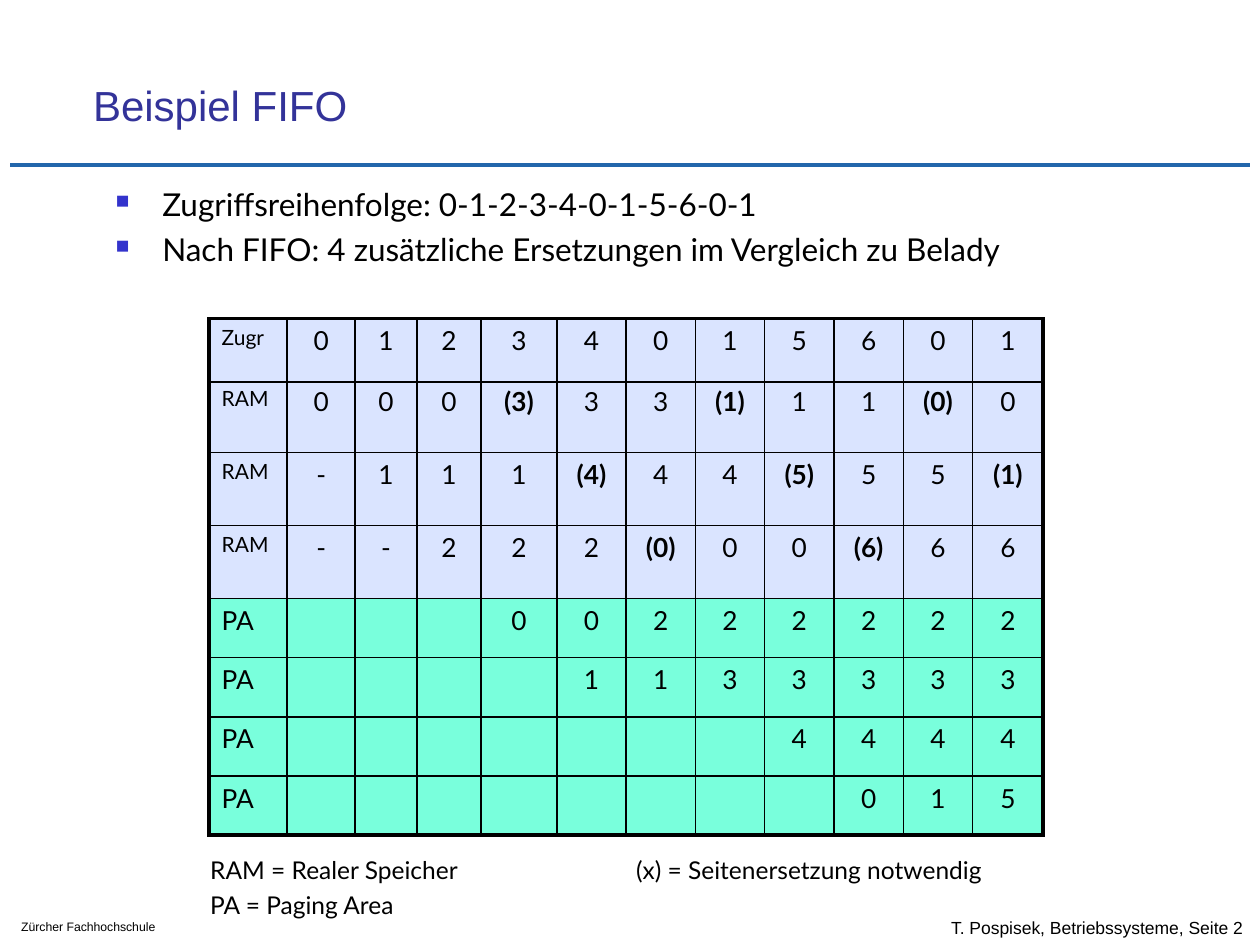
"""Build a slide showing FIFO page replacement step by step."""
from dataclasses import dataclass

from lxml.etree import SubElement
from pptx import Presentation
from pptx.dml.color import RGBColor
from pptx.enum.shapes import MSO_CONNECTOR
from pptx.enum.text import MSO_ANCHOR, PP_ALIGN
from pptx.oxml import parse_xml
from pptx.oxml.ns import nsdecls, qn
from pptx.util import Inches, Pt


@dataclass(frozen=True)
class Theme:
    ink: str = "000000"
    heading: str = "333399"
    rule: str = "2266AB"
    bullet: str = "3333CC"
    ram: str = "DAE4FF"
    paging: str = "79FFDC"
    sans: str = "Arial"
    body: str = "Lato"
    title_size: float = 24
    body_size: float = 18
    cell_size: float = 15
    legend_size: float = 14
    label_size: float = 12
    author_size: float = 10
    school_size: float = 7
    thin: float = 0.96
    thick: float = 2.21


def write(paragraph, text, *, size, font, color, bold=False, align=PP_ALIGN.LEFT, before=0):
    paragraph.alignment = align
    paragraph.space_before = Pt(before)
    run = paragraph.add_run()
    run.text = text
    run.font.size = Pt(size)
    run.font.name = font
    run.font.bold = bold
    run.font.color.rgb = RGBColor.from_string(color)


class SlideBuilder:
    def __init__(self, slide, theme):
        self.slide = slide
        self.theme = theme

    def rule(self, left, right, y):
        line = self.slide.shapes.add_connector(
            MSO_CONNECTOR.STRAIGHT, Inches(left), Inches(y), Inches(right), Inches(y))
        line.line.color.rgb = RGBColor.from_string(self.theme.rule)
        line.line.width = Pt(2.5)
        SubElement(line._element.spPr, qn("a:effectLst"))

    def text(self, box, lines, *, anchor=MSO_ANCHOR.TOP, gap=0, bullets=False, tab=None, **style):
        frame = self.slide.shapes.add_textbox(*map(Inches, box)).text_frame
        frame.word_wrap = True
        frame.vertical_anchor = anchor
        for index, line in enumerate(lines):
            paragraph = frame.add_paragraph() if index else frame.paragraphs[0]
            if bullets:
                self.bullet(paragraph)
            if tab:
                stops = SubElement(paragraph._p.get_or_add_pPr(), qn("a:tabLst"))
                SubElement(stops, qn("a:tab"), pos=str(Inches(tab)), algn="l")
            write(paragraph, line, before=gap if index else 0,
                  **{"color": self.theme.ink, **style})

    def bullet(self, paragraph):
        properties = paragraph._p.get_or_add_pPr()
        properties.set("marL", str(Inches(0.38)))
        properties.set("indent", str(Inches(-0.37)))
        color = SubElement(properties, qn("a:buClr"))
        SubElement(color, qn("a:srgbClr"), val=self.theme.bullet)
        SubElement(properties, qn("a:buSzPct"), val="60000")
        SubElement(properties, qn("a:buChar"), char="■")

    def table(self, left, top, widths, heights, rows, closed=True):
        grid = self.slide.shapes.add_table(
            len(rows), len(widths), Inches(left), Inches(top),
            Inches(sum(widths)), Inches(sum(heights))).table
        grid.first_row = grid.horz_banding = False
        for column, width in zip(grid.columns, widths):
            column.width = Inches(width)
        for row, height in zip(grid.rows, heights):
            row.height = Inches(height)
        for r, (label, values) in enumerate(rows):
            for c, value in enumerate([label, *values]):
                outer = {"L": c == 0, "R": c == len(widths) - 1,
                         "T": r == 0, "B": closed and r == len(rows) - 1}
                self.cell(grid.cell(r, c), value, label, c == 0, outer)

    def cell(self, cell, value, label, is_label, outer):
        theme = self.theme
        paging = label == "PA"
        cell.fill.solid()
        cell.fill.fore_color.rgb = RGBColor.from_string(theme.paging if paging else theme.ram)
        for index, (side, is_outer) in enumerate(outer.items()):
            width = Pt(theme.thick if is_outer else theme.thin)
            cell._tc.get_or_add_tcPr().insert(index, parse_xml(
                f'<a:ln{side} {nsdecls("a")} w="{width}"><a:solidFill>'
                f'<a:srgbClr val="{theme.ink}"/></a:solidFill></a:ln{side}>'))
        if value:
            write(cell.text_frame.paragraphs[0], value, font=theme.body, color=theme.ink,
                  size=theme.label_size if is_label and not paging else theme.cell_size,
                  bold=value.startswith("("),
                  align=PP_ALIGN.LEFT if is_label else PP_ALIGN.CENTER)


def main():
    theme = Theme()
    deck = Presentation()
    deck.slide_width, deck.slide_height = Inches(10), Inches(7.5)
    page = SlideBuilder(deck.slides.add_slide(deck.slide_layouts[6]), theme)

    page.rule(0.08, 9.92, 1.31)
    page.text((7.45, 7.2, 2.55, 0.33), ["T. Pospisek, Betriebssysteme, Seite 2"],
              anchor=MSO_ANCHOR.MIDDLE, size=theme.author_size, font=theme.sans)
    page.text((0.07, 7.25, 1.72, 0.22), ["Zürcher Fachhochschule"],
              size=theme.school_size, font=theme.sans)
    page.text((0.64, 0.33, 8.52, 0.75), ["Beispiel FIFO"], anchor=MSO_ANCHOR.BOTTOM,
              size=theme.title_size, font=theme.sans, color=theme.heading)
    page.text((0.81, 1.42, 8.36, 0.92),
              ["Zugriffsreihenfolge: 0-1-2-3-4-0-1-5-6-0-1",
               "Nach FIFO: 4 zusätzliche Ersetzungen im Vergleich zu Belady"],
              bullets=True, gap=4, size=theme.body_size, font=theme.body)

    steps = 11
    widths = [0.62, 0.54, 0.49, 0.51, 0.6] + [0.55] * 6 + [0.56]
    ram = ["0 0 0 (3) 3 3 (1) 1 1 (0) 0",
           "- 1 1 1 (4) 4 4 (5) 5 5 (1)",
           "- - 2 2 2 (0) 0 0 (6) 6 6"]
    paging = ["0 0 2 2 2 2 2 2", "1 1 3 3 3 3 3", "4 4 4 4", "0 1 5"]
    memory = [("RAM", row.split()) for row in ram]
    for row in paging:
        pages = row.split()
        memory.append(("PA", [""] * (steps - len(pages)) + pages))
    page.table(1.66, 3.01, widths, [0.58] * len(ram) + [0.47] * len(paging), memory)
    page.text((1.57, 6.74, 8, 0.67),
              ["RAM = Realer Speicher\t(x) = Seitenersetzung notwendig", "PA = Paging Area"],
              gap=2.8, tab=3.38, size=theme.legend_size, font=theme.body)
    page.table(1.66, 2.53, widths, [0.5], [("Zugr", list("01234015601"))], closed=False)

    deck.save("out.pptx")


if __name__ == "__main__":
    main()
